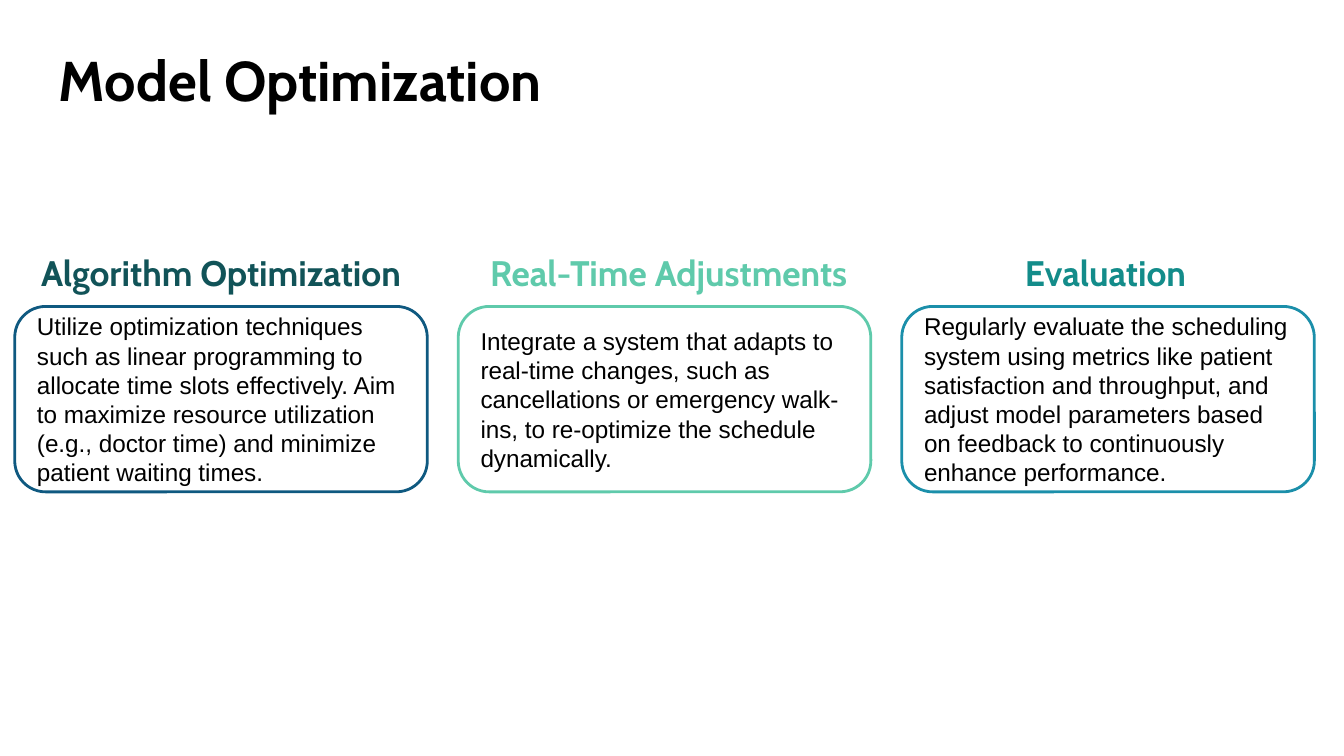
from pptx import Presentation
from pptx.dml.color import RGBColor
from pptx.enum.shapes import MSO_SHAPE
from pptx.enum.text import MSO_ANCHOR, PP_ALIGN
from pptx.util import Inches, Pt

ROUND = MSO_SHAPE.ROUNDED_RECTANGLE
TOP, MIDDLE = MSO_ANCHOR.TOP, MSO_ANCHOR.MIDDLE
LEFT, CENTER = PP_ALIGN.LEFT, PP_ALIGN.CENTER

COLORS = {
    "black": "000000",
    "navy": "0F5980",
    "pine": "115358",
    "mint": "5FCAAB",
    "blue": "1B8FAA",
    "teal": "138C8A",
}

CARD_LEFT, CARD_STEP = 0.11, 3.3

# Heading, heading left, heading colour, border colour, body
CARDS = [
    ("Algorithm Optimization", -0.11, "pine", "navy",
     "Utilize optimization techniques such as linear programming to allocate "
     "time slots effectively. Aim to maximize resource utilization (e.g., "
     "doctor time) and minimize patient waiting times."),
    ("Real-Time Adjustments ", 3.25, "mint", "mint",
     "Integrate a system that adapts to real-time changes, such as "
     "cancellations or emergency walk-ins, to re-optimize the schedule "
     "dynamically."),
    ("Evaluation ", 6.5, "teal", "blue",
     "Regularly evaluate the scheduling system using metrics like patient "
     "satisfaction and throughput, and adjust model parameters based on "
     "feedback to continuously enhance performance."),
]


def color(name):
    return RGBColor.from_string(COLORS[name])


def write(shape, text, size=13, font="Arial", fill="black", bold=False,
          align=LEFT, anchor=TOP):
    frame = shape.text_frame
    frame.word_wrap = True
    frame.vertical_anchor = anchor
    frame.margin_left = frame.margin_right = Inches(0.1)
    frame.margin_top = frame.margin_bottom = Inches(0.1)
    para = frame.paragraphs[0]
    para.alignment = align
    run = para.add_run()
    run.text = text
    run.font.size = Pt(size)
    run.font.name = font
    run.font.bold = bold
    run.font.color.rgb = color(fill)


def add_label(slide, text, left, top, width, height, **style):
    box = slide.shapes.add_textbox(
        Inches(left), Inches(top), Inches(width), Inches(height))
    write(box, text, font="Cabin", bold=True, **style)


def add_card(slide, text, left, border):
    card = slide.shapes.add_shape(
        ROUND, Inches(left), Inches(2.28), Inches(3.07), Inches(1.38))
    card.adjustments[0] = 0.167
    card.shadow.inherit = False
    card.fill.background()
    card.line.color.rgb = color(border)
    card.line.width = Pt(1.5)
    write(card, text, anchor=MIDDLE)


def main():
    # Widescreen page, 16 to 9
    deck = Presentation()
    deck.slide_width = Inches(10)
    deck.slide_height = Inches(10 * 9 / 16)
    slide = deck.slides.add_slide(deck.slide_layouts[6])

    # Title
    add_label(slide, "Model Optimization", 0.34, 0.24, 9.32, 0.63, size=30)

    # Three cards, each under its heading
    for i, (head, left, tint, border, body) in enumerate(CARDS):
        add_card(slide, body, CARD_LEFT + i * CARD_STEP, border)
        add_label(slide, head, left, 1.77, 3.51, 0.42,
                  size=19, fill=tint, align=CENTER)

    deck.save("out.pptx")


if __name__ == "__main__":
    main()
